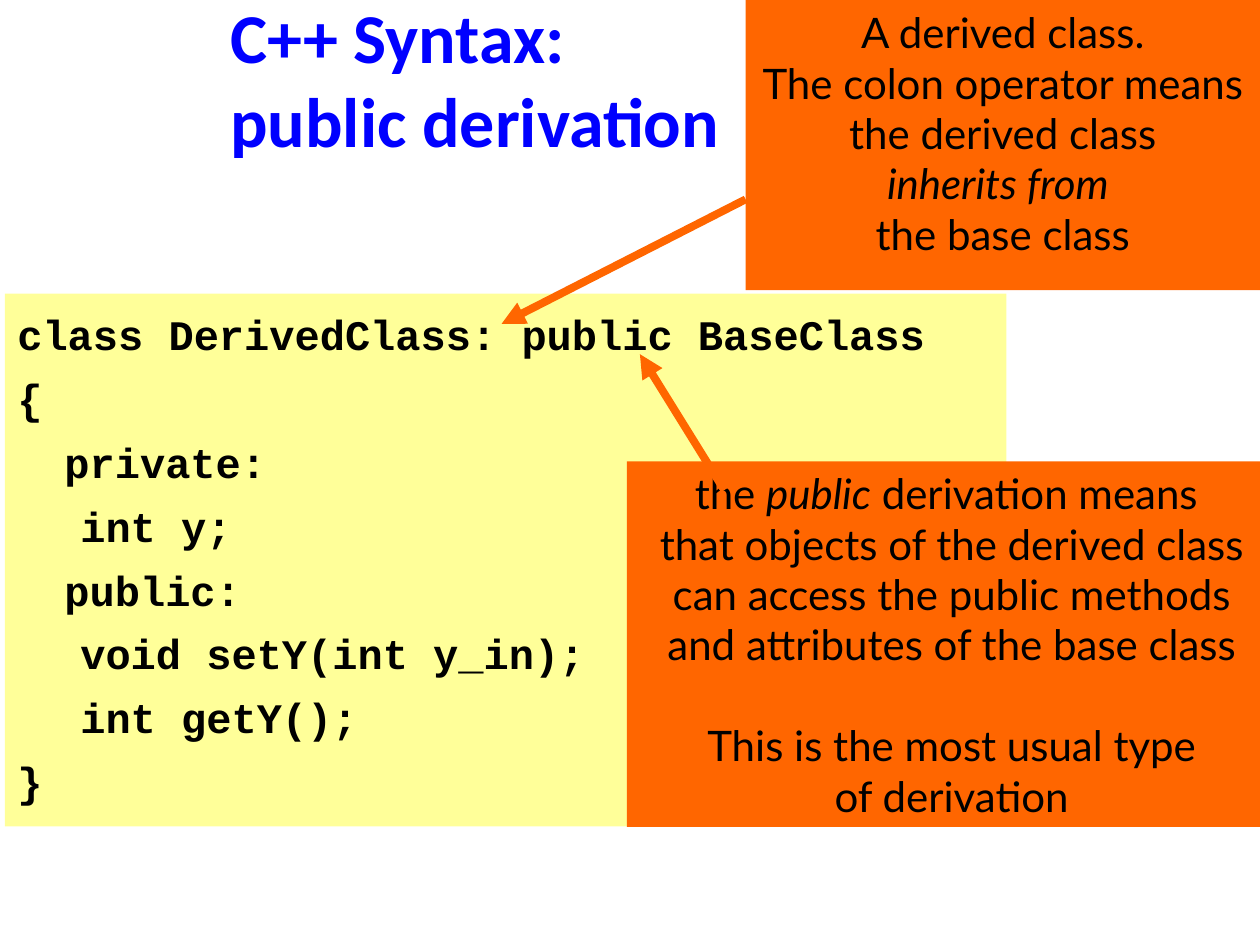
from dataclasses import dataclass
from lxml import etree
from pptx import Presentation
from pptx.dml.color import RGBColor
from pptx.enum import shapes, text
from pptx.oxml.ns import qn
from pptx.util import Cm, Pt

HUES = {"title": "0000FF", "code": "FFFF99", "note": "FF6600", "ink": "000000"}
LEFT, MID = text.PP_ALIGN.LEFT, text.PP_ALIGN.CENTER


@dataclass
class Box:
    x: float
    y: float
    w: float
    h: float


@dataclass
class Line:
    """One paragraph; parts between asterisks are italic."""
    words: str
    indent: float = 0
    gap: float = 0


@dataclass
class Note:
    box: Box
    lines: list[Line]
    start: tuple[float, float]
    tip: tuple[float, float]
    wrap: bool = True


CODE = [
    Line("class DerivedClass: public BaseClass"),
    Line("{"),
    Line("private:", 0.95),
    Line("int y;", 1.27),
    Line("public:", 0.95),
    Line("void setY(int y_in);", 1.27),
    Line("int getY();", 1.27),
    Line("}"),
]

NOTES = [
    Note(Box(15.03, -0.5, 10.37, 6.35), [
        Line("A derived class."),
        Line("The colon operator means"),
        Line("the derived class"),
        Line("*inherits from *"),
        Line("the base class"),
    ], (15.03, 4.02), (10.11, 6.53)),
    Note(Box(12.64, 9.3, 13.09, 7.37), [
        Line("the *public* derivation means "),
        Line("that objects of the derived class"),
        Line("can access the public methods"),
        Line("and attributes of the base class"),
        Line("This is the most usual type", gap=28.8),
        Line("of derivation"),
    ], (14.6, 9.88), (12.9, 7.14), wrap=False),
]


def hue(name: str) -> RGBColor:
    return RGBColor.from_string(HUES[name])


def style(para, face: str, size: float, tint: str, bold: bool = False) -> None:
    font = para.font
    font.name, font.size, font.bold = face, Pt(size), bold
    font.color.rgb = hue(tint)


def place(shape, box: Box) -> None:
    shape.left, shape.top = Cm(box.x), Cm(box.y)
    shape.width, shape.height = Cm(box.w), Cm(box.h)


def panel(slide, box: Box, tint: str):
    """Add a plain filled rectangle and return its text frame."""
    rect = slide.shapes.add_shape(
        shapes.MSO_SHAPE.RECTANGLE, Cm(box.x), Cm(box.y), Cm(box.w), Cm(box.h))
    rect.shadow.inherit = False
    rect.fill.solid()
    rect.fill.fore_color.rgb = hue(tint)
    rect.line.fill.background()
    return rect.text_frame


def write(frame, lines: list[Line], face: str, align, bold: bool = False) -> None:
    for i, line in enumerate(lines):
        para = frame.add_paragraph() if i else frame.paragraphs[0]
        para.alignment = align
        para.space_before = Pt(line.gap)
        if line.indent:
            para._p.get_or_add_pPr().set("marL", str(Cm(line.indent)))
        style(para, face, 24, "ink", bold)
        for j, part in enumerate(line.words.split("*")):
            if part:
                run = para.add_run()
                run.text = part
                if j % 2:
                    run.font.italic = True


def arrow(slide, start: tuple[float, float], tip: tuple[float, float]) -> None:
    link = slide.shapes.add_connector(
        shapes.MSO_CONNECTOR.STRAIGHT, *map(Cm, start + tip))
    link.line.color.rgb = hue("note")
    link.line.width = Pt(4.5)
    etree.SubElement(link.line._get_or_add_ln(), qn("a:tailEnd"), type="triangle")
    etree.SubElement(link._element.spPr, qn("a:effectLst"))


def head(slide) -> None:
    title = slide.shapes.title
    place(title, Box(4.39, 0.61, 20.7, 1.9))
    frame = title.text_frame
    frame.text = "C++ Syntax:\vpublic derivation"
    frame.auto_size = text.MSO_AUTO_SIZE.NONE
    frame.vertical_anchor = text.MSO_ANCHOR.MIDDLE
    para = frame.paragraphs[0]
    para.alignment = LEFT
    para.line_spacing = 1.0
    style(para, "Calibri", 40, "title", True)


def code(slide) -> None:
    frame = panel(slide, Box(0.1, 5.92, 20.19, 10.74), "code")
    frame.word_wrap = True
    frame.vertical_anchor = text.MSO_ANCHOR.TOP
    frame.margin_top = Cm(0.3)
    for line in CODE[1:]:
        line.gap = 7.7
    write(frame, CODE, "Courier New", LEFT, True)


def note(slide, item: Note) -> None:
    frame = panel(slide, item.box, "note")
    frame.word_wrap = item.wrap
    frame.vertical_anchor = text.MSO_ANCHOR.MIDDLE
    write(frame, item.lines, "Lato", MID)
    arrow(slide, item.start, item.tip)


def main() -> None:
    deck = Presentation()
    deck.slide_width, deck.slide_height = Cm(25.4), Cm(19.05)
    slide = deck.slides.add_slide(deck.slide_layouts[5])
    head(slide)
    code(slide)
    for item in NOTES:
        note(slide, item)
    deck.save("out.pptx")


if __name__ == "__main__":
    main()
